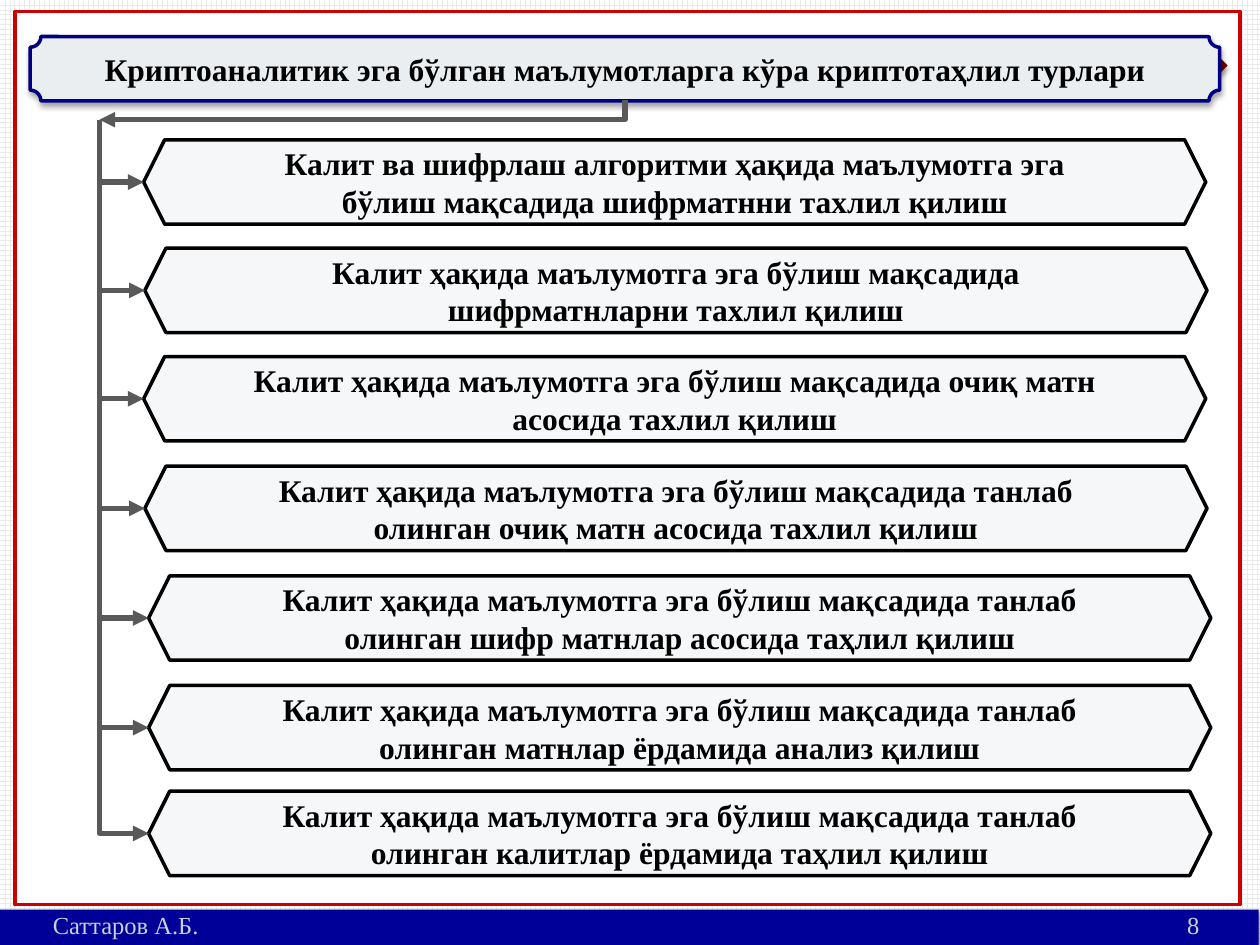
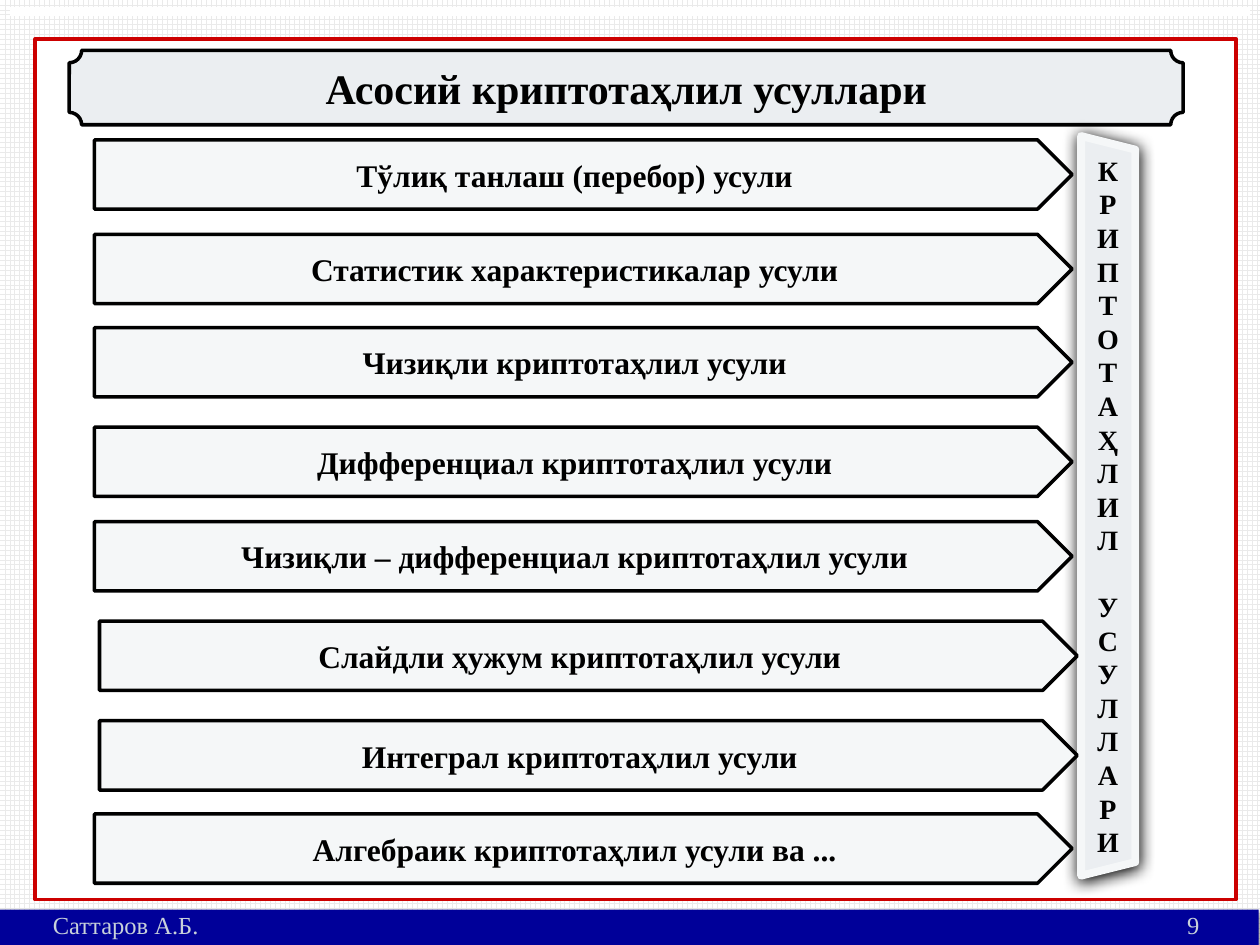
from pptx import Presentation
from pptx.dml.color import RGBColor
from pptx.enum.dml import MSO_PATTERN
from pptx.enum.shapes import MSO_CONNECTOR, MSO_SHAPE
from pptx.enum.text import MSO_ANCHOR, PP_ALIGN
from pptx.oxml.ns import qn
from pptx.util import Inches, Pt
from lxml import etree

RECTANGLE, PLAQUE = MSO_SHAPE.RECTANGLE, MSO_SHAPE.PLAQUE
HEXAGON, PENTAGON = MSO_SHAPE.HEXAGON, MSO_SHAPE.PENTAGON
TRAPEZOID = MSO_SHAPE.TRAPEZOID
STRAIGHT, ELBOW = MSO_CONNECTOR.STRAIGHT, MSO_CONNECTOR.ELBOW
CENTER, LEFT = PP_ALIGN.CENTER, PP_ALIGN.LEFT
MIDDLE, TOP = MSO_ANCHOR.MIDDLE, MSO_ANCHOR.TOP

FONT = "Times New Roman"
BLACK, WHITE, RED = "000000", "FFFFFF", "CC0000"
NAVY, FOOTER_BLUE, FOOTER_TEXT = "000080", "000099", "C8D1DA"
PALE, MIST, GRAY, MAROON = "F5F7F8", "EBEEF1", "595959", "660000"
GRID = "EAEAEA"
SOFT_SHADOW = (35, 3.1, 1.8)    # opacity %, blur pt, distance pt
STRONG_SHADOW = (100, 8.5, 1)

AUTHOR = "Саттаров А.Б."
TYPES_TITLE = "Криптоаналитик эга бўлган маълумотларга кўра криптотаҳлил турлари"
KEY_GOAL = "Калит ҳақида маълумотга эга бўлиш мақсадида"
ANALYSIS_TYPES = [  # left, top, text
    (1.14, 1.11, "Калит ва шифрлаш алгоритми ҳақида маълумотга эга "
                 "бўлиш мақсадида шифрматнни тахлил қилиш"),
    (1.15, 1.97, f"{KEY_GOAL} шифрматнларни тахлил қилиш"),
    (1.14, 2.83, f"{KEY_GOAL} очиқ матн асосида тахлил қилиш"),
    (1.15, 3.70, f"{KEY_GOAL} танлаб олинган очиқ матн асосида тахлил қилиш"),
    (1.18, 4.57, f"{KEY_GOAL} танлаб олинган шифр матнлар асосида таҳлил қилиш"),
    (1.18, 5.44, f"{KEY_GOAL} танлаб олинган матнлар ёрдамида анализ қилиш"),
    (1.18, 6.28, f"{KEY_GOAL} танлаб олинган калитлар ёрдамида таҳлил қилиш"),
]
METHODS_TITLE = "Асосий криптотаҳлил усуллари"
METHODS = [  # left, top, text
    (0.75, 1.11, "Тўлиқ танлаш (перебор) усули"),
    (0.75, 1.86, "Статистик характеристикалар усули"),
    (0.75, 2.60, "Чизиқли криптотаҳлил усули"),
    (0.75, 3.39, "Дифференциал криптотаҳлил усули"),
    (0.75, 4.14, "Чизиқли – дифференциал криптотаҳлил усули"),
    (0.79, 4.93, "Слайдли ҳужум криптотаҳлил усули"),
    (0.79, 5.72, "Интеграл криптотаҳлил усули"),
    (0.75, 6.46, "Алгебраик криптотаҳлил усули ва ..."),
]
SIDE_WORDS = ["КРИПТОТАҲЛИЛ", "УСУЛЛАРИ"]

TYPE_WIDTH, TYPE_HEIGHT = 8.43, 0.67
METHOD_WIDTH, METHOD_HEIGHT = 7.76, 0.55
TRUNK_X, TRUNK_TOP = 0.79, 0.95


def color(value):
    return RGBColor.from_string(value)


def add_child(parent, tag, **attributes):
    return etree.SubElement(parent, qn(tag), attributes)


def add_shadow(effects, opacity, blur, distance):
    outer = add_child(effects, "a:outerShdw", blurRad=str(Pt(blur)),
                      dist=str(Pt(distance)), dir="5400000", rotWithShape="0")
    tint = add_child(outer, "a:srgbClr", val=BLACK)
    add_child(tint, "a:alpha", val=str(opacity * 1000))


def add_box(slide, kind, place, fill, line=None, width=2, shadow=None):
    box = slide.shapes.add_shape(kind, *map(Inches, place))
    box.fill.solid()
    box.fill.fore_color.rgb = color(fill)
    if line:
        box.line.color.rgb = color(line)
        box.line.width = Pt(width)
    else:
        box.line.fill.background()
    box.shadow.inherit = False
    if shadow:
        add_shadow(box._element.spPr.find(qn("a:effectLst")), *shadow)
    return box


def style_paragraph(para, size, ink=BLACK, bold=True, align=CENTER):
    para.alignment = align
    para.font.name = FONT
    para.font.size = Pt(size)
    para.font.bold = bold
    para.font.color.rgb = color(ink)


def write(box, text, size):
    frame = box.text_frame
    frame.word_wrap = True
    frame.vertical_anchor = MIDDLE
    frame.text = text
    for para in frame.paragraphs:
        style_paragraph(para, size)


def add_line(slide, kind, start, end, ink, width, head=None, tail=None, shadow=None):
    line = slide.shapes.add_connector(kind, *map(Inches, start + end))
    line.line.color.rgb = color(ink)
    line.line.width = Pt(width)
    properties = line._element.spPr
    outline = properties.find(qn("a:ln"))
    for tag, ending in (("a:headEnd", head), ("a:tailEnd", tail)):
        if ending:
            add_child(outline, tag, type=ending)
    effects = add_child(properties, "a:effectLst")
    if shadow:
        add_shadow(effects, *shadow)
    return line


def add_branch(slide, start, end):
    """Arrow that goes vertically first, then horizontally to its end."""
    branch = add_line(slide, ELBOW, start, end, GRAY, 3, tail="triangle")
    geometry = branch._element.spPr.find(qn("a:prstGeom"))
    guides = geometry.find(qn("a:avLst"))
    if guides is None:
        guides = add_child(geometry, "a:avLst")
    add_child(guides, "a:gd", name="adj1", fmla="val 0")


def add_footer(slide, number):
    bar = add_box(slide, RECTANGLE, (-0.01, 7.22, 10, 0.28), FOOTER_BLUE,
                  shadow=SOFT_SHADOW)
    frame = bar.text_frame
    frame.word_wrap = True
    frame.vertical_anchor = TOP
    frame.margin_left, frame.margin_right = Inches(0.43), Inches(0.1)
    frame.margin_top, frame.margin_bottom = 0, Inches(0.04)
    para = frame.paragraphs[0]
    para.text = f"{AUTHOR}\t{number}"
    tabs = add_child(para._p.get_or_add_pPr(), "a:tabLst")
    add_child(tabs, "a:tab", pos=str(Inches(9.1)), algn="r")
    style_paragraph(para, 14, FOOTER_TEXT, bold=False, align=LEFT)


def add_page(deck, number, frame_place):
    page = deck.slides.add_slide(deck.slide_layouts[6])
    fill = page.background.fill
    fill.patterned()
    fill.pattern = MSO_PATTERN.LARGE_GRID
    fill.fore_color.rgb = color(GRID)
    fill.back_color.rgb = color(WHITE)
    add_box(page, RECTANGLE, frame_place, WHITE, RED)
    add_footer(page, number)
    return page


def build_types_page(deck):
    page = add_page(deck, 8, (0.12, 0.09, 9.72, 7.09))
    add_line(page, STRAIGHT, (0.31, 0.52), (9.68, 0.52), MAROON, 3,
             "diamond", "diamond", SOFT_SHADOW)
    title = add_box(page, PLAQUE, (0.24, 0.29, 9.44, 0.51), MIST, NAVY,
                    shadow=SOFT_SHADOW)
    write(title, TYPES_TITLE, 18)
    for left, top, text in ANALYSIS_TYPES:
        box = add_box(page, HEXAGON, (left, top, TYPE_WIDTH, TYPE_HEIGHT), PALE, BLACK)
        write(box, text, 18)
    trunk_start = (TRUNK_X, TRUNK_TOP)
    add_branch(page, (4.96, 0.79), trunk_start)
    for left, top, _ in ANALYSIS_TYPES:
        add_branch(page, trunk_start, (left, top + TYPE_HEIGHT / 2))


def build_methods_page(deck):
    page = add_page(deck, 9, (0.28, 0.31, 9.53, 6.83))
    add_line(page, STRAIGHT, (0.08, 0.09), (9.92, 0.09), WHITE, 5)
    title = add_box(page, PLAQUE, (0.55, 0.4, 8.84, 0.59), MIST, BLACK)
    write(title, METHODS_TITLE, 24)

    side = add_box(page, TRAPEZOID, (5.86, 3.8, 5.87, 0.43), MIST, PALE, 4.5,
                   STRONG_SHADOW)
    side.rotation = 90
    write(side, "\n".join("".join(SIDE_WORDS)), 16)
    side.text_frame._txBody.bodyPr.set("vert", "vert270")
    second_word = side.text_frame.paragraphs[len(SIDE_WORDS[0])]
    second_word.space_before = Pt(19)

    for left, top, text in METHODS:
        box = add_box(page, PENTAGON, (left, top, METHOD_WIDTH, METHOD_HEIGHT),
                      PALE, BLACK)
        write(box, text, 18)


def main():
    deck = Presentation()
    deck.slide_width, deck.slide_height = Inches(10), Inches(7.5)
    build_types_page(deck)
    build_methods_page(deck)
    deck.save("out.pptx")


if __name__ == "__main__":
    main()
